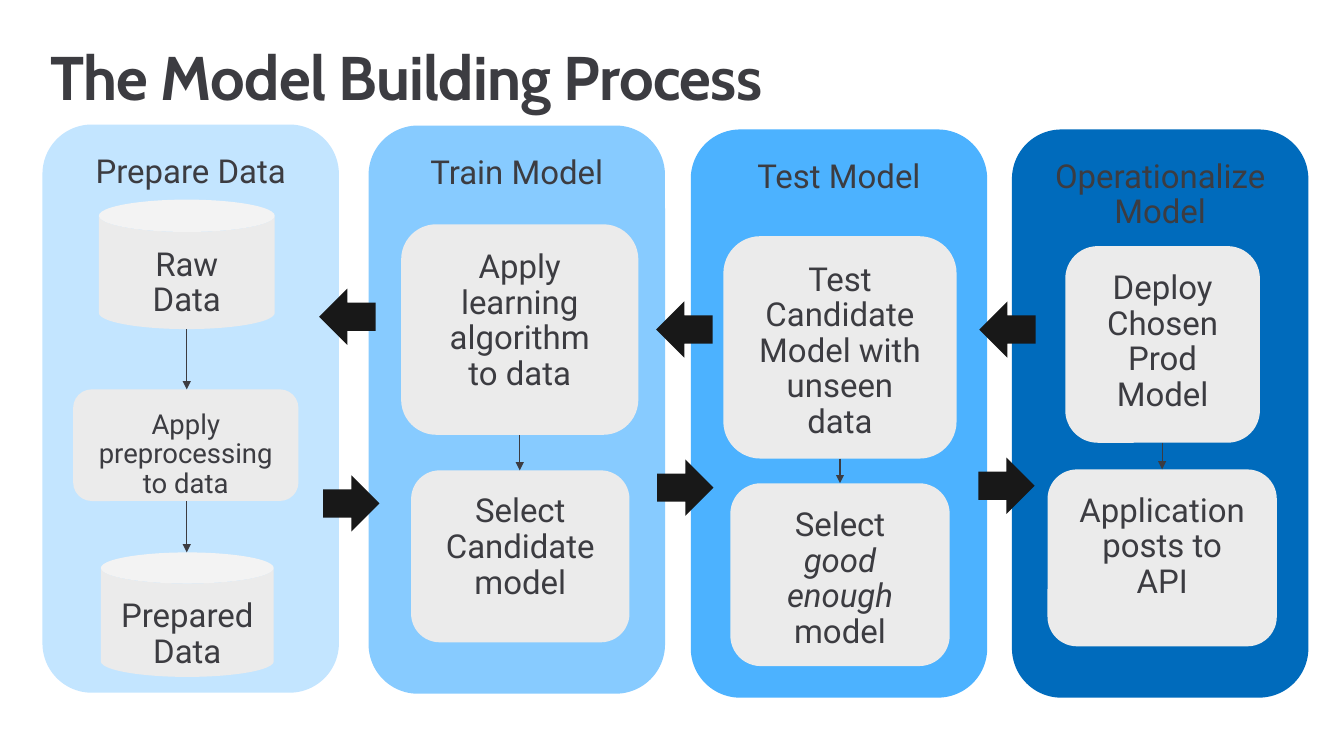
from itertools import pairwise

from lxml.etree import SubElement
from pptx import Presentation
from pptx.dml.color import RGBColor
from pptx.enum.shapes import MSO_CONNECTOR, MSO_SHAPE
from pptx.enum.text import MSO_ANCHOR, PP_ALIGN
from pptx.oxml.ns import qn
from pptx.util import Pt

EMU_PER_PX = 9144
COLORS = {
    "text": "3C3C41",
    "step": "EBEBEB",
    "arrow": "181818",
    "prepare": "C3E5FF",
    "train": "87CBFF",
    "test": "4CB2FF",
    "operationalize": "006BBC",
}
PANEL_SIZE = (300, 575)
ARROW_SIZE = 57
BOX = MSO_SHAPE.ROUNDED_RECTANGLE
CAN = MSO_SHAPE.CAN

STAGES = [
    ("Prepare Data", "prepare", (43, 126), [
        (CAN, (100, 202, 178, 131), "Raw\nData", {}),
        (BOX, (74, 394, 228, 113), "Apply preprocessing to data", {"size": 20}),
        (CAN, (102, 559, 175, 126), "Prepared\nData", {}),
    ]),
    ("Train Model", "train", (373, 127), [
        (BOX, (406, 227, 240, 213), "Apply learning algorithm to data", {}),
        (BOX, (416, 476, 221, 174), "Select\nCandidate\nmodel", {}),
    ]),
    ("Test Model", "test", (699, 131), [
        (BOX, (732, 239, 236, 225), "Test Candidate\nModel with unseen data", {}),
        (BOX, (739, 489, 222, 185), "Select good enough model", {"italic": "good enough "}),
    ]),
    ("Operationalize Model", "operationalize", (1024, 131), [
        (BOX, (1078, 249, 197, 199), "Deploy Chosen\nProd Model", {}),
        (BOX, (1060, 475, 232, 179), "Application posts to API", {}),
    ]),
]
FORWARD_ARROWS = [(327, 481), (665, 465), (990, 463)]
BACK_ARROWS = [(323, 292), (664, 305), (991, 305)]


def px(*lengths):
    return [length * EMU_PER_PX for length in lengths]


def color(name):
    return RGBColor.from_string(COLORS[name])


def write_text(shape, text, *, size=24, font="Roboto", bold=False, italic="",
               align=PP_ALIGN.CENTER, anchor=MSO_ANCHOR.TOP, margins=(20, 16), spacing=None):
    frame = shape.text_frame
    frame.word_wrap = True
    frame.vertical_anchor = anchor
    frame.margin_left, frame.margin_top = px(*margins)
    frame.margin_right, frame.margin_bottom = px(*margins)
    for index, line in enumerate(text.split("\n")):
        paragraph = frame.paragraphs[0] if index == 0 else frame.add_paragraph()
        paragraph.alignment = align
        paragraph.line_spacing = 0.9
        parts = line.partition(italic) if italic else [line]
        for part in filter(None, parts):
            run = paragraph.add_run()
            run.text = part
            run.font.size = Pt(size)
            run.font.name = font
            run.font.bold = bold
            run.font.italic = part == italic
            run.font.color.rgb = color("text")
            if spacing is not None:
                run.font._element.set("spc", str(spacing))


def add_title(slide, text):
    shape = slide.shapes.add_textbox(*px(51, 46, 1258, 71))
    write_text(shape, text, size=44.9, font="Cabin", bold=True, align=PP_ALIGN.LEFT,
               anchor=MSO_ANCHOR.MIDDLE, margins=(0, 0), spacing=-50)


def add_filled_shape(slide, kind, bounds, fill):
    shape = slide.shapes.add_shape(kind, *px(*bounds))
    shape.shadow.inherit = False
    shape.fill.solid()
    shape.fill.fore_color.rgb = color(fill)
    shape.line.fill.background()
    return shape


def add_step_connector(slide, x, top, bottom):
    connector = slide.shapes.add_connector(MSO_CONNECTOR.STRAIGHT, *px(x, top, x, bottom))
    connector.line.color.rgb = color("text")
    connector.line.width = Pt(0.75)
    SubElement(connector.line._get_or_add_ln(), qn("a:tailEnd"), type="triangle")
    SubElement(connector._element.spPr, qn("a:effectLst"))


def add_stage(slide, heading, fill, position, steps):
    panel = add_filled_shape(slide, BOX, (*position, *PANEL_SIZE), fill)
    write_text(panel, heading)
    for kind, bounds, text, text_format in steps:
        write_text(add_filled_shape(slide, kind, bounds, "step"), text, **text_format)
    left, _, width, _ = steps[0][1]
    for (_, upper, *_), (_, lower, *_) in pairwise(steps):
        add_step_connector(slide, left + width // 2, upper[1] + upper[3], lower[1])


def add_block_arrow(slide, position, rotation):
    arrow = add_filled_shape(slide, MSO_SHAPE.RIGHT_ARROW,
                             (*position, ARROW_SIZE, ARROW_SIZE), "arrow")
    arrow.rotation = rotation


def main():
    presentation = Presentation()
    presentation.slide_width, presentation.slide_height = px(1360, 765)
    slide = presentation.slides.add_slide(presentation.slide_layouts[6])
    add_title(slide, "The Model Building Process")
    for stage in STAGES:
        add_stage(slide, *stage)
    for positions, rotation in ((FORWARD_ARROWS, 0), (BACK_ARROWS, 180)):
        for position in positions:
            add_block_arrow(slide, position, rotation)
    presentation.save("out.pptx")


if __name__ == "__main__":
    main()
